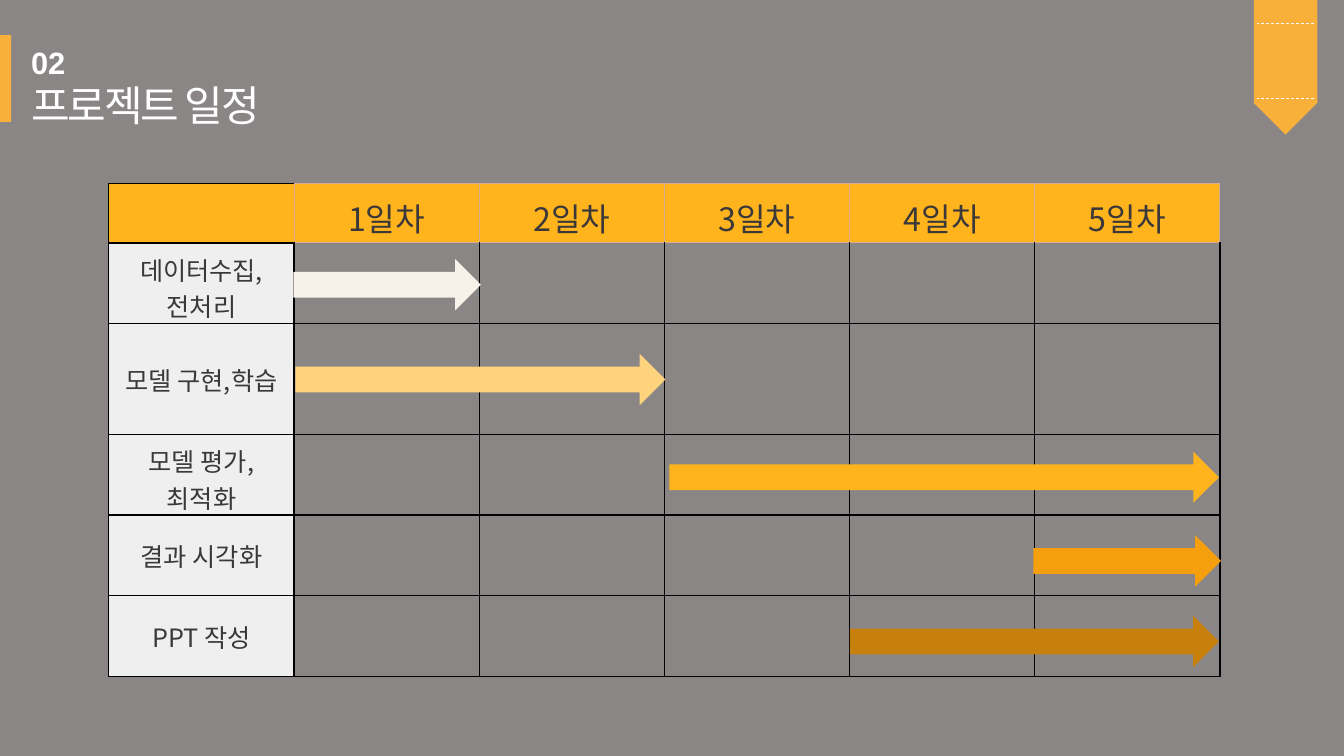
from lxml import etree
from pptx import Presentation
from pptx.dml.color import RGBColor
from pptx.enum.dml import MSO_LINE
from pptx.enum.shapes import MSO_CONNECTOR, MSO_SHAPE
from pptx.enum.text import MSO_ANCHOR, MSO_AUTO_SIZE, PP_ALIGN
from pptx.oxml.ns import qn
from pptx.util import Inches, Pt

RECT, PENTAGON, ARROW = MSO_SHAPE.RECTANGLE, MSO_SHAPE.PENTAGON, MSO_SHAPE.RIGHT_ARROW
STRAIGHT, DASH = MSO_CONNECTOR.STRAIGHT, MSO_LINE.DASH
TOP, MIDDLE = MSO_ANCHOR.TOP, MSO_ANCHOR.MIDDLE
LEFT, CENTER = PP_ALIGN.LEFT, PP_ALIGN.CENTER
GROW = MSO_AUTO_SIZE.SHAPE_TO_FIT_TEXT

GREY = RGBColor(0x8A, 0x86, 0x86)
ORANGE = RGBColor(0xF8, 0xB0, 0x3A)
AMBER = RGBColor(0xFF, 0xB3, 0x1D)
PALE = RGBColor(0xEF, 0xEF, 0xEF)
DARK = RGBColor(0x3A, 0x38, 0x38)
WHITE = RGBColor(0xFF, 0xFF, 0xFF)
BLACK = RGBColor(0, 0, 0)
ROSE = RGBColor(0xD7, 0xAA, 0x95)
KOREAN = "Noto Sans CJK KR"

NUMBER = "02"
TITLE = "프로젝트 일정"
DAYS = ["1일차", "2일차", "3일차", "4일차", "5일차"]
TASKS = [
    (["데이터수집,", "전처리"], 0.8),
    (["모델 구현,학습"], 1.1),
    (["모델 평가,", "최적화"], 0.8),
    (["결과 시각화"], 0.8),
    (["PPT 작성"], 0.8),
]
BARS = [
    (2.91, 2.57, 1.86, RGBColor(0xF7, 0xF1, 0xE9)),
    (2.93, 3.51, 3.67, RGBColor(0xFF, 0xD3, 0x7C)),
    (6.64, 4.48, 5.45, AMBER),
    (10.25, 5.31, 1.86, RGBColor(0xF5, 0x9E, 0x0E)),
    (8.43, 6.11, 3.66, RGBColor(0xC7, 0x80, 0x0B)),
]
TABLE_LEFT, TABLE_TOP, TABLE_WIDTH, HEADER_HEIGHT = 1.08, 1.82, 11.02, 0.59
BAR_HEIGHT = 0.51


def write(tf, lines, size, color, font=KOREAN, bold=False, align=LEFT, spacing=0):
    for i, line in enumerate(lines):
        p = tf.paragraphs[0] if i == 0 else tf.add_paragraph()
        p.alignment = align
        r = p.add_run()
        r.text = line
        r.font.size, r.font.bold, r.font.name = Pt(size), bold, font
        r.font.color.rgb = color
        rpr = r.font._element
        etree.SubElement(rpr, qn("a:ea")).set("typeface", font)
        if spacing:
            rpr.set("spc", str(int(spacing * 100)))


def add_block(slide, kind, left, top, width, height, color):
    sp = slide.shapes.add_shape(kind, Inches(left), Inches(top), Inches(width), Inches(height))
    sp.shadow.inherit = False
    sp.fill.solid()
    sp.fill.fore_color.rgb = color
    sp.line.fill.background()
    return sp


def add_stitch(slide, y):
    line = slide.shapes.add_connector(STRAIGHT, Inches(13.03), Inches(y), Inches(12.47), Inches(y))
    line.line.color.rgb = WHITE
    line.line.width = Pt(0.5)
    line.line.dash_style = DASH
    etree.SubElement(line._element.spPr, qn("a:effectLst"))


def set_borders(cell, colors):
    tcpr = cell._tc.get_or_add_tcPr()
    for i, (side, color) in enumerate(zip(("a:lnL", "a:lnR", "a:lnT", "a:lnB"), colors)):
        ln = etree.Element(qn(side), w=str(Pt(0.75 if color == ROSE else 1)))
        fill = etree.SubElement(ln, qn("a:solidFill"))
        etree.SubElement(fill, qn("a:srgbClr"), val=str(color))
        tcpr.insert(i, ln)


def format_cell(cell, row, col):
    if row == 0 or col == 0:
        cell.fill.solid()
        cell.fill.fore_color.rgb = AMBER if row == 0 else PALE
    else:
        cell.fill.background()
    if row == 0:
        colors = [BLACK, ROSE, BLACK, BLACK] if col == 0 else [ROSE] * 4
    else:
        colors = [BLACK, BLACK, ROSE if row == 1 and col else BLACK, BLACK]
    set_borders(cell, colors)
    cell.vertical_anchor = MIDDLE
    cell.margin_left = cell.margin_right = Inches(0.1)


def add_schedule(slide):
    heights = [HEADER_HEIGHT] + [height for _, height in TASKS]
    cols = len(DAYS) + 1
    table = slide.shapes.add_table(
        len(heights), cols, Inches(TABLE_LEFT), Inches(TABLE_TOP),
        Inches(TABLE_WIDTH), Inches(sum(heights))).table
    table.first_row = table.horz_banding = False
    for column in table.columns:
        column.width = Inches(TABLE_WIDTH / cols)
    for row, height in enumerate(heights):
        table.rows[row].height = Inches(height)
        for col in range(cols):
            format_cell(table.cell(row, col), row, col)
    labels = [(0, i, [day], 23) for i, day in enumerate(DAYS, 1)]
    labels += [(i, 0, lines, 18) for i, (lines, _) in enumerate(TASKS, 1)]
    for row, col, lines, size in labels:
        cell = table.cell(row, col)
        tight = row == 0 or len(lines) > 1
        cell.margin_top = Inches(0.08 if tight else 0.1)
        cell.margin_bottom = Inches(0 if tight else 0.1)
        write(cell.text_frame, lines, size, DARK, align=CENTER)


def main():
    prs = Presentation()
    prs.slide_width, prs.slide_height = Inches(13.33), Inches(7.5)
    slide = prs.slides.add_slide(prs.slide_layouts[5])
    slide.background.fill.solid()
    slide.background.fill.fore_color.rgb = GREY

    add_block(slide, RECT, 0, 0.35, 0.11, 0.86, ORANGE)
    ribbon = add_block(slide, PENTAGON, 12.08, 0.35, 1.34, 0.63, ORANGE)
    ribbon.rotation = 90
    for y in (0.98, 0.23):
        add_stitch(slide, y)

    number = slide.shapes.add_textbox(Inches(0.21), Inches(0.38), Inches(0.54), Inches(0.46))
    title = slide.shapes.title
    title.left, title.top, title.width, title.height = map(Inches, (0.21, 0.74, 2.58, 0.59))
    for sp in (number, title):
        tf = sp.text_frame
        tf.word_wrap, tf.auto_size, tf.vertical_anchor = False, GROW, TOP
    write(number.text_frame, [NUMBER], 22, WHITE, font="Arial", bold=True)
    write(title.text_frame, [TITLE], 30, WHITE, spacing=-1.5)

    add_schedule(slide)
    for left, top, width, color in BARS:
        add_block(slide, ARROW, left, top, width, BAR_HEIGHT, color)
    prs.save("out.pptx")


if __name__ == "__main__":
    main()
